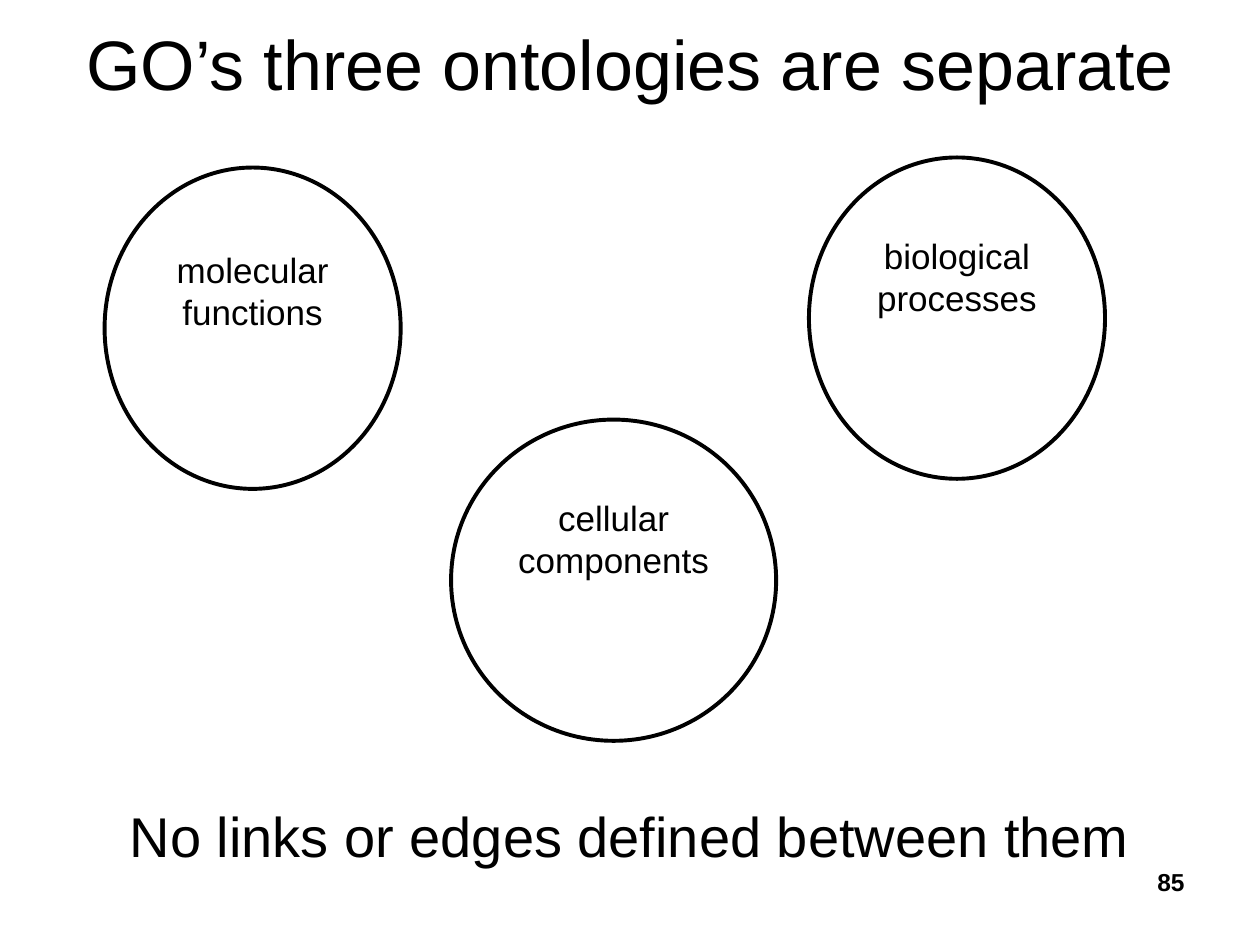
from dataclasses import dataclass

from pptx import Presentation
from pptx.dml.color import RGBColor
from pptx.enum.shapes import MSO_SHAPE as Shape
from pptx.enum.text import MSO_ANCHOR as Anchor, PP_ALIGN as Align
from pptx.util import Inches, Pt


@dataclass(frozen=True)
class Theme:
    font: str = "Arial"
    ink: RGBColor = RGBColor(0, 0, 0)
    paper: RGBColor = RGBColor(255, 255, 255)
    title: int = 40
    caption: int = 32
    label: int = 20
    number: int = 14
    outline: float = 2.25


theme = Theme()


def write(shape, text, size, align=Align.CENTER, anchor=Anchor.TOP, bold=False):
    frame = shape.text_frame
    frame.text = text
    frame.word_wrap = True
    frame.vertical_anchor = anchor
    paragraph = frame.paragraphs[0]
    paragraph.alignment = align
    font = paragraph.runs[0].font
    font.name = theme.font
    font.size = Pt(size)
    font.bold = bold
    font.color.rgb = theme.ink


presentation = Presentation()
presentation.slide_width = Inches(10)
presentation.slide_height = Inches(7.5)
slide = presentation.slides.add_slide(presentation.slide_layouts[5])
slide.background.fill.solid()
slide.background.fill.fore_color.rgb = theme.paper

title = slide.shapes.title
title.left, title.top = Inches(0.5), Inches(0)
title.width, title.height = Inches(9), Inches(1)
write(title, "GO’s three ontologies are separate", theme.title, anchor=Anchor.MIDDLE)

caption = slide.shapes.add_textbox(Inches(0.5), Inches(6.31), Inches(9), Inches(0.61))
write(caption, "No links or edges defined between them", theme.caption)

ontologies = [
    ("molecular functions", 0.83, 1.33, 2.35, 0.27),
    ("cellular components", 3.58, 3.33, 2.58, 0.24),
    ("biological processes", 6.42, 1.25, 2.35, 0.24),
]
for name, left, top, width, inset in ontologies:
    ellipse = slide.shapes.add_shape(
        Shape.OVAL, Inches(left), Inches(top), Inches(width), Inches(2.55)
    )
    ellipse.shadow.inherit = False
    ellipse.fill.solid()
    ellipse.fill.fore_color.rgb = theme.paper
    ellipse.line.color.rgb = theme.ink
    ellipse.line.width = Pt(theme.outline)
    write(ellipse, name, theme.label)
    frame = ellipse.text_frame
    frame.margin_left = frame.margin_right = Inches(0.09)
    frame.margin_top, frame.margin_bottom = Inches(inset), Inches(0.04)

number = slide.shapes.add_textbox(Inches(7.17), Inches(6.83), Inches(2.33), Inches(0.52))
write(number, "85", theme.number, align=Align.RIGHT, bold=True)

presentation.save("out.pptx")
